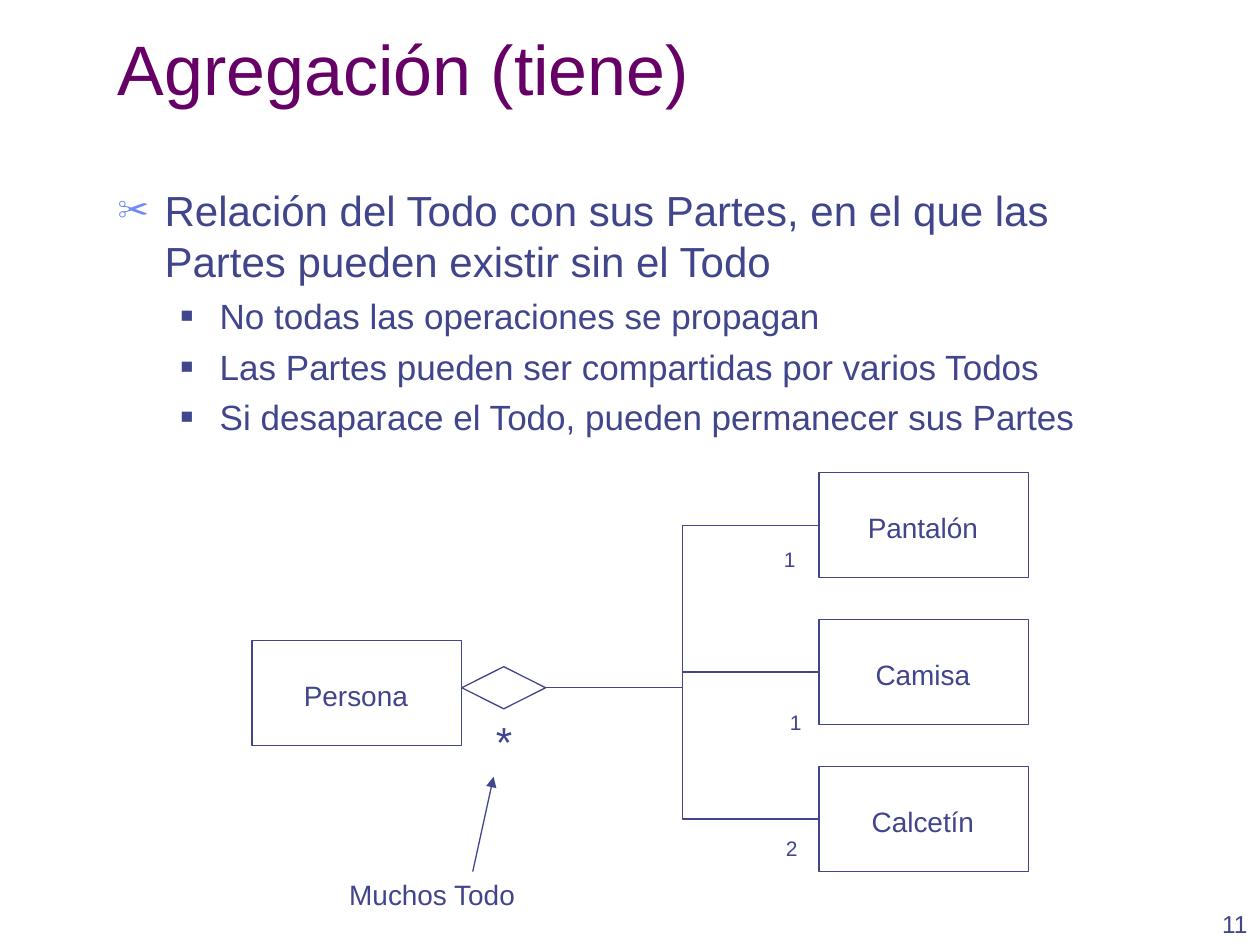
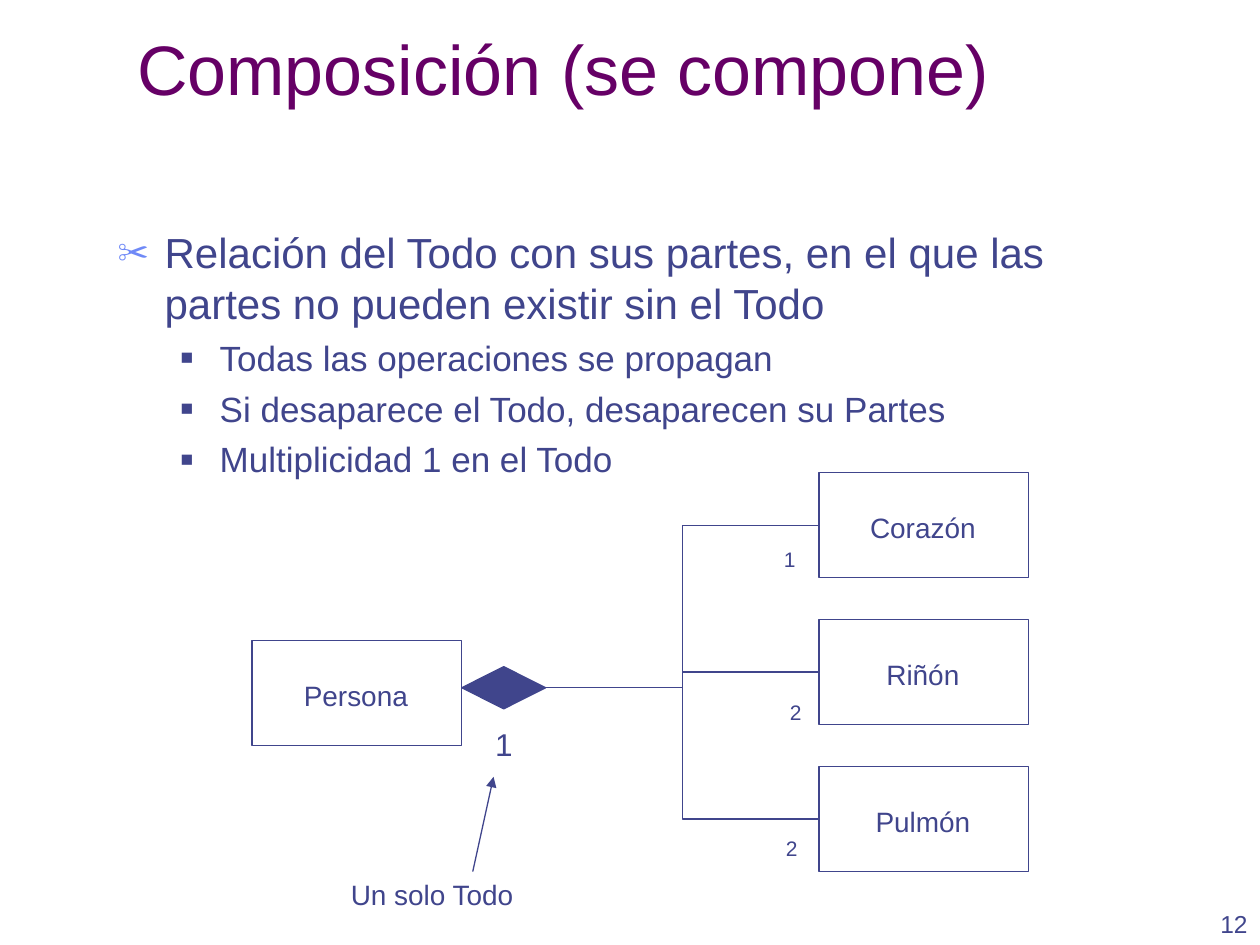
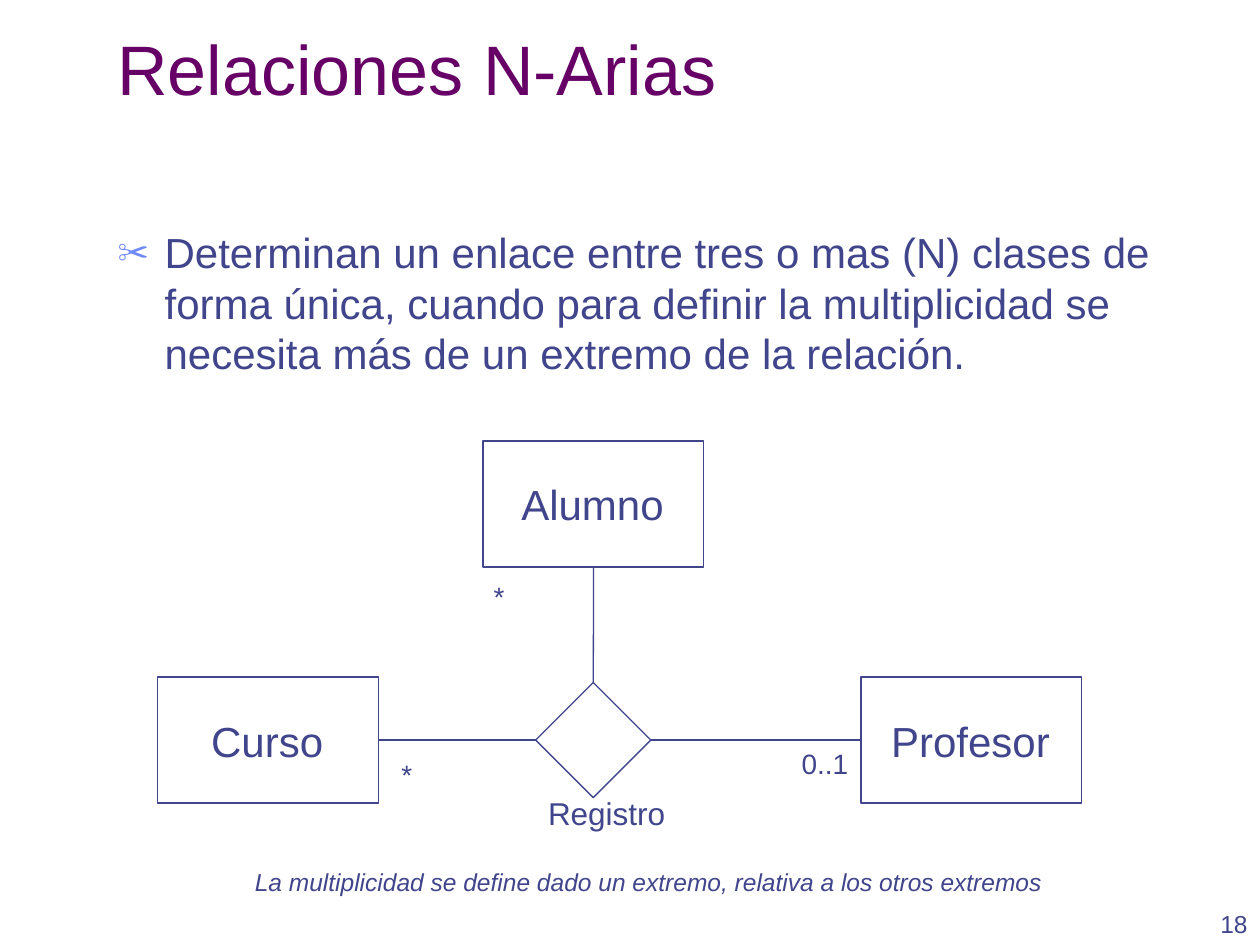
"""Build three slides on UML aggregation, composition and n-ary relations."""
from lxml.etree import SubElement
from pptx import Presentation
from pptx.dml.color import RGBColor
from pptx.enum.shapes import MSO_CONNECTOR, MSO_SHAPE
from pptx.enum.text import MSO_ANCHOR, MSO_AUTO_SIZE, PP_ALIGN
from pptx.oxml.ns import qn
from pptx.util import Cm, Pt

INK = RGBColor(0x40, 0x45, 0x8C)
TITLE_COLOR = RGBColor(0x66, 0x00, 0x66)
SCISSORS_COLOR = RGBColor(0x6F, 0x89, 0xF7)
FONT = "Arial"
TOP, LEFT, BOTTOM, RIGHT = range(4)
BULLETS = [
    {"char": "✂", "color": SCISSORS_COLOR, "percent": 75, "margin": 0.95,
     "hanging": 0.95, "size": 24, "before": 6},
    {"char": "■", "color": INK, "percent": 60, "margin": 2.06,
     "hanging": 0.79, "size": 20, "before": 5},
]


def add_run(paragraph, text, size, color=INK, italic=False):
    """Append one styled run to a paragraph."""
    run = paragraph.add_run()
    run.text = text
    run.font.name = FONT
    run.font.size = Pt(size)
    run.font.color.rgb = color
    run.font.italic = italic


def add_frame(slide, left, top, width, height, anchor=MSO_ANCHOR.TOP):
    """Add a wrapping text box and return its text frame."""
    frame = slide.shapes.add_textbox(Cm(left), Cm(top), Cm(width), Cm(height)).text_frame
    frame.word_wrap = True
    frame.vertical_anchor = anchor
    return frame


def add_label(slide, text, center, top, width, size, italic=False):
    """Add one unwrapped line of text centred on a given x."""
    height = size * 0.0423 + 0.25
    frame = add_frame(slide, center - width / 2, top, width, height)
    frame.word_wrap = False
    frame.auto_size = MSO_AUTO_SIZE.SHAPE_TO_FIT_TEXT
    paragraph = frame.paragraphs[0]
    paragraph.alignment = PP_ALIGN.CENTER
    add_run(paragraph, text, size, italic=italic)


def add_outline(slide, preset, left, top, width, height, filled=False):
    """Add a thinly outlined preset shape."""
    outline = slide.shapes.add_shape(preset, Cm(left), Cm(top), Cm(width), Cm(height))
    outline.shadow.inherit = False
    if filled:
        outline.fill.solid()
        outline.fill.fore_color.rgb = INK
    else:
        outline.fill.background()
    outline.line.color.rgb = INK
    outline.line.width = Pt(0.75)
    return outline


def add_class(slide, name, left, top, label_width, width=4.23, height=2.12, size=16):
    """Add a UML class box with its name."""
    box = add_outline(slide, MSO_SHAPE.RECTANGLE, left, top, width, height)
    add_label(slide, name, left + width / 2 - 0.02, top + 0.64, label_width, size)
    return box


def add_line(slide, kind, start=(0, 0), end=(0, 0)):
    """Add a thin connector without a shadow."""
    line = slide.shapes.add_connector(kind, *map(Cm, start + end))
    line.line.color.rgb = INK
    line.line.width = Pt(0.75)
    SubElement(line._element.spPr, qn("a:effectLst"))
    return line


def join(slide, kind, source, source_side, target, target_side):
    """Connect the sides of two shapes."""
    link = add_line(slide, kind)
    link.begin_connect(source, source_side)
    link.end_connect(target, target_side)


def add_arrow(slide, start, end):
    """Add a straight arrow with a triangular head."""
    arrow = add_line(slide, MSO_CONNECTOR.STRAIGHT, start, end)
    SubElement(arrow.line._get_or_add_ln(), qn("a:tailEnd"), type="triangle")


def add_bullet(paragraph, level):
    """Give a paragraph the indent and bullet of its level."""
    bullet = BULLETS[level]
    paragraph.level = level
    properties = paragraph._p.get_or_add_pPr()
    properties.set("marL", str(Cm(bullet["margin"])))
    properties.set("indent", str(-Cm(bullet["hanging"])))
    color = SubElement(properties, qn("a:buClr"))
    SubElement(color, qn("a:srgbClr"), val=str(bullet["color"]))
    SubElement(properties, qn("a:buSzPct"), val=str(bullet["percent"] * 1000))
    SubElement(properties, qn("a:buFont"), typeface=FONT)
    SubElement(properties, qn("a:buChar"), char=bullet["char"])


def add_body(slide, top, height, statement, details=()):
    """Add the main statement and its second-level details."""
    frame = add_frame(slide, 2.12, top, 21.59, height)
    for index, text in enumerate((statement, *details)):
        paragraph = frame.add_paragraph() if index else frame.paragraphs[0]
        level = min(index, 1)
        add_bullet(paragraph, level)
        if index:
            paragraph.space_before = Pt(BULLETS[level]["before"])
        add_run(paragraph, text, BULLETS[level]["size"])


def start_slide(deck, title, number, title_inset=0.25):
    """Add a blank slide with its title and page number."""
    slide = deck.slides.add_slide(deck.slide_layouts[6])
    page = add_frame(slide, 23.52, 17.78, 1.88, 1.27, MSO_ANCHOR.BOTTOM).paragraphs[0]
    page.alignment = PP_ALIGN.RIGHT
    add_run(page, str(number), 14)
    heading = add_frame(slide, 2.12, 0.42, 21.59, 1.91, MSO_ANCHOR.BOTTOM)
    heading.margin_left = Cm(title_inset)
    add_run(heading.paragraphs[0], title, 40, TITLE_COLOR)
    return slide


def add_whole_and_parts(slide, parts, multiplicities, whole_mark, caption, filled=False):
    """Draw a whole joined through a diamond to its three parts."""
    add_class(slide, "Persona", 5.08, 12.91, 2.7)
    diamond = add_outline(slide, MSO_SHAPE.DIAMOND, 9.31, 13.44, 1.69, 0.85, filled)
    for row, (name, label_width) in enumerate(parts):
        part = add_class(slide, name, 16.51, 9.53 + row * 2.96, label_width)
        join(slide, MSO_CONNECTOR.ELBOW, diamond, RIGHT, part, LEFT)
    for text, center, top in multiplicities:
        add_label(slide, text, center, top, 0.76, 12)
    mark, mark_top, mark_size = whole_mark
    add_label(slide, mark, 10.16, mark_top, 0.88, mark_size)
    add_arrow(slide, (9.53, 17.57), (9.95, 15.66))
    add_label(slide, caption, 8.71, 17.57, 3.95, 16)


def build_aggregation(deck):
    """Build the aggregation slide."""
    slide = start_slide(deck, "Agregación (tiene)", 11)
    add_body(slide, 3.6, 5.93,
             "Relación del Todo con sus Partes, en el que las Partes pueden existir sin el Todo",
             ["No todas las operaciones se propagan",
              "Las Partes pueden ser compartidas por varios Todos",
              "Si desaparace el Todo, pueden permanecer sus Partes"])
    add_whole_and_parts(
        slide, [("Pantalón", 2.8), ("Camisa", 2.5), ("Calcetín", 2.65)],
        [("1", 15.92, 10.9), ("1", 16.04, 14.18), ("2", 15.96, 16.72)],
        ("*", 14.3, 24), "Muchos Todo")


def build_composition(deck):
    """Build the composition slide."""
    slide = start_slide(deck, "Composición (se compone)", 12, title_inset=0.65)
    add_body(slide, 4.45, 12.49,
             "Relación del Todo con sus partes, en el que las partes no pueden existir sin el Todo",
             ["Todas las operaciones se propagan",
              "Si desaparece el Todo, desaparecen su Partes",
              "Multiplicidad 1 en el Todo"])
    add_whole_and_parts(
        slide, [("Corazón", 2.72), ("Riñón", 2.05), ("Pulmón", 2.5)],
        [("1", 15.92, 10.9), ("2", 16.04, 13.97), ("2", 15.96, 16.72)],
        ("1", 14.5, 18), "Un solo Todo", filled=True)


def build_n_ary(deck):
    """Build the n-ary relation slide."""
    slide = start_slide(deck, "Relaciones N-Arias", 18)
    add_body(slide, 4.45, 4.66,
             "Determinan un enlace entre tres o mas (N) clases de forma única, cuando para "
             "definir la multiplicidad se necesita más de un extremo de la relación.")
    registry = add_outline(slide, MSO_SHAPE.DIAMOND, 10.8, 13.76, 2.32, 2.32)
    for name, left, top, label_width, registry_side, class_side in (
            ("Curso", 3.18, 13.65, 2.85, LEFT, RIGHT),
            ("Profesor", 17.36, 13.65, 3.8, RIGHT, LEFT),
            ("Alumno", 9.74, 8.89, 3.45, TOP, BOTTOM)):
        member = add_class(slide, name, left, top, label_width, 4.45, 2.54, 24)
        join(slide, MSO_CONNECTOR.STRAIGHT, registry, registry_side, member, class_side)
    add_label(slide, "*", 10.06, 11.56, 0.73, 16)
    add_label(slide, "0..1", 16.63, 14.92, 1.5, 16)
    add_label(slide, "*", 8.2, 15.14, 0.73, 16)
    add_label(slide, "La multiplicidad se define dado un extremo, relativa a los otros extremos",
              13.08, 17.36, 16.54, 14, italic=True)
    add_label(slide, "Registro", 12.23, 15.88, 2.95, 18)


def main():
    """Build and save the deck."""
    deck = Presentation()
    deck.slide_width, deck.slide_height = Cm(25.4), Cm(19.05)
    build_aggregation(deck)
    build_composition(deck)
    build_n_ary(deck)
    deck.save("out.pptx")


if __name__ == "__main__":
    main()
